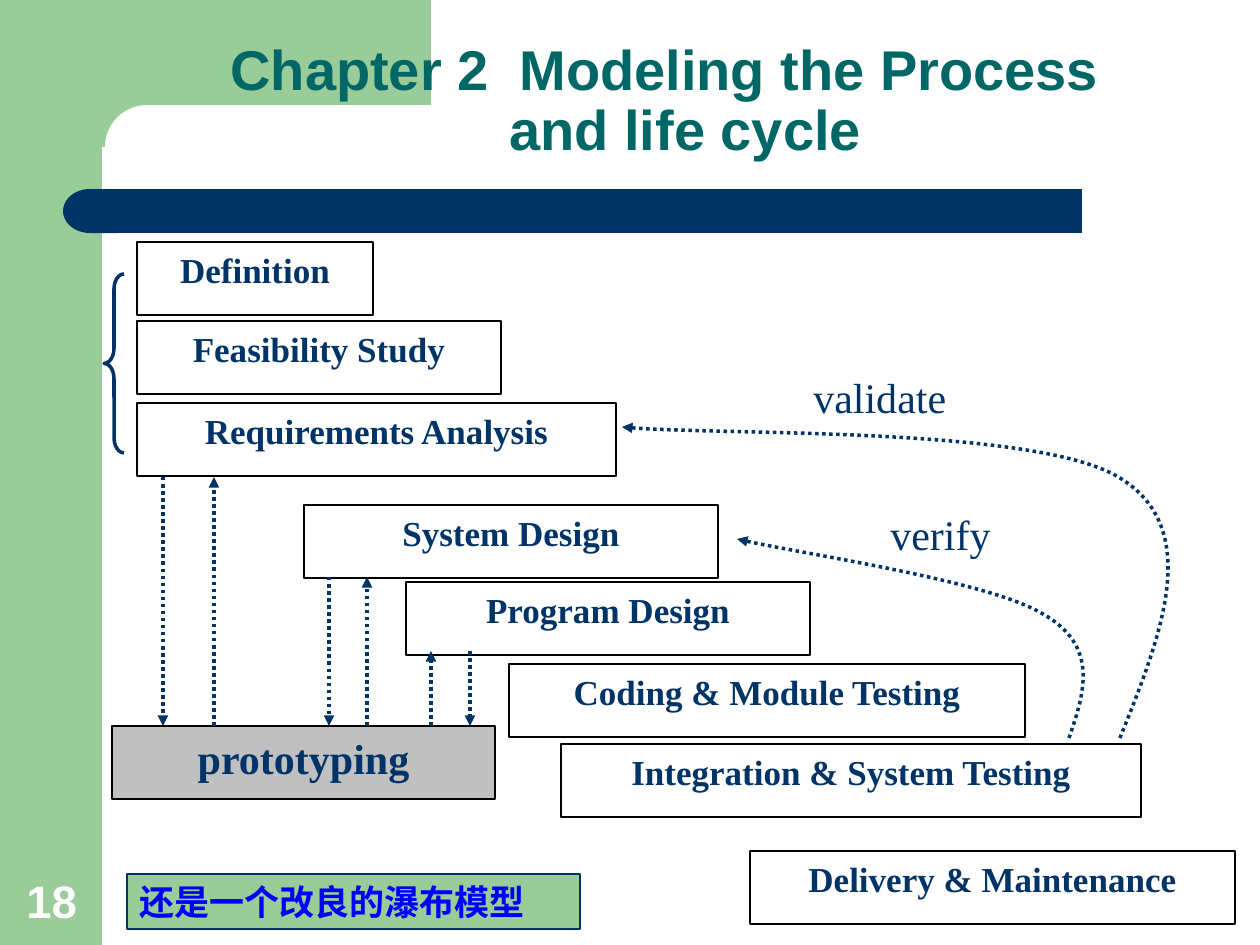
from typing import NamedTuple

from lxml import etree
from pptx import Presentation, util as u
from pptx.dml.color import RGBColor
from pptx.enum import dml, shapes, text
from pptx.oxml.ns import qn

SCALE = u.Inches(1) / 126
NAVY = RGBColor(0x00, 0x33, 0x66)
GREEN = RGBColor(0x99, 0xCC, 0x99)
TEAL = RGBColor(0x00, 0x66, 0x66)
GRAY = RGBColor(0xC0, 0xC0, 0xC0)
BLUE = RGBColor(0x00, 0x00, 0xFF)
WHITE = RGBColor(0xFF, 0xFF, 0xFF)
BLACK = RGBColor(0x00, 0x00, 0x00)
SERIF = "Times New Roman"
SANS = "Arial"
PROTOTYPING_TOP = 726
STAGE_HEIGHT = 73


class Box(NamedTuple):
    left: int
    top: int
    width: int
    height: int


class Style(NamedTuple):
    size: int
    color: RGBColor = NAVY
    font: str = SERIF
    bold: bool = True


class Stage(NamedTuple):
    label: str
    left: int
    top: int
    width: int
    fill: RGBColor = WHITE
    size: int = 20


class Arrow(NamedTuple):
    x: int
    start: int
    end: int


class Feedback(NamedTuple):
    label: str
    label_box: Box
    points: tuple


STAGES = [
    Stage("Definition", 137, 242, 236),
    Stage("Feasibility Study", 137, 321, 364),
    Stage("Requirements Analysis", 137, 403, 479),
    Stage("System Design", 304, 505, 414),
    Stage("Program Design", 406, 582, 404),
    Stage("Coding & Module Testing", 509, 664, 516),
    Stage("Integration & System Testing", 561, 744, 580),
    Stage("Delivery & Maintenance", 750, 851, 485),
    Stage("prototyping", 112, PROTOTYPING_TOP, 383, GRAY, 24),
]
ARROWS = [
    Arrow(163, 477, PROTOTYPING_TOP),
    Arrow(214, PROTOTYPING_TOP, 477),
    Arrow(329, 577, PROTOTYPING_TOP),
    Arrow(367, PROTOTYPING_TOP, 577),
    Arrow(431, PROTOTYPING_TOP, 651),
    Arrow(470, 651, PROTOTYPING_TOP),
]
FEEDBACKS = [
    Feedback("verify", Box(878, 502, 179, 63),
             ((1069, 738), (1085, 692), (1099, 646), (1043, 614),
              (989, 581), (789, 552), (737, 539))),
    Feedback("validate", Box(801, 365, 229, 63),
             ((1120, 738), (1162, 634), (1203, 529), (1120, 478),
              (1037, 426), (706, 436), (622, 427))),
]


def emu(px: int) -> int:
    return round(px * SCALE)


def add_text(paragraph, words: str, style: Style) -> None:
    run = paragraph.add_run()
    run.text = words
    run.font.size = u.Pt(style.size)
    run.font.name = style.font
    run.font.bold = style.bold
    run.font.color.rgb = style.color


def add_preset(slide, kind, box: Box, fill=None, line=None, weight=0.75):
    shape = slide.shapes.add_shape(kind, *map(emu, box))
    shape.shadow.inherit = False
    if fill is None:
        shape.fill.background()
    else:
        shape.fill.solid()
        shape.fill.fore_color.rgb = fill
    if line is None:
        shape.line.fill.background()
    else:
        shape.line.color.rgb = line
        shape.line.width = u.Pt(weight)
    return shape


def add_label(shape, words: str, style: Style, align, anchor=text.MSO_ANCHOR.TOP) -> None:
    frame = shape.text_frame
    frame.word_wrap = True
    frame.vertical_anchor = anchor
    paragraph = frame.paragraphs[0]
    paragraph.alignment = align
    add_text(paragraph, words, style)


def add_text_box(slide, box: Box, words: str, style: Style, anchor=text.MSO_ANCHOR.TOP) -> None:
    shape = slide.shapes.add_textbox(*map(emu, box))
    add_label(shape, words, style, text.PP_ALIGN.LEFT, anchor)


def style_dotted_arrow(shape) -> None:
    shape.line.color.rgb = NAVY
    shape.line.width = u.Pt(2)
    shape.line.dash_style = dml.MSO_LINE.ROUND_DOT
    etree.SubElement(shape.line._get_or_add_ln(), qn("a:tailEnd"), type="triangle")


def add_arrow(slide, arrow: Arrow) -> None:
    connector = slide.shapes.add_connector(
        shapes.MSO_CONNECTOR.STRAIGHT,
        emu(arrow.x), emu(arrow.start), emu(arrow.x), emu(arrow.end))
    style_dotted_arrow(connector)
    etree.SubElement(connector._element.spPr, qn("a:effectLst"))


def add_curve(slide, points: tuple) -> None:
    builder = slide.shapes.build_freeform(*points[0], scale=SCALE)
    builder.add_line_segments(points[1:], close=False)
    curve = builder.convert_to_shape()
    curve.shadow.inherit = False
    curve.fill.background()
    style_dotted_arrow(curve)
    outline = next(curve._element.iter(qn("a:path")))
    segments = outline.findall(qn("a:lnTo"))
    for first in range(0, len(segments), 3):
        bezier = etree.SubElement(outline, qn("a:cubicBezTo"))
        for segment in segments[first:first + 3]:
            bezier.append(segment[0])
            outline.remove(segment)


def add_background(slide) -> None:
    preset = shapes.MSO_SHAPE
    add_preset(slide, preset.RECTANGLE, Box(0, 0, 102, 945), GREEN)
    add_preset(slide, preset.RECTANGLE, Box(92, 0, 339, 147), GREEN)
    panel = add_preset(slide, preset.ROUNDED_RECTANGLE, Box(105, 105, 703, 84), WHITE)
    panel.adjustments[0] = 0.5
    add_preset(slide, preset.RECTANGLE, Box(116, 189, 966, 44), NAVY)
    cap = add_preset(slide, preset.FLOWCHART_DELAY, Box(63, 189, 54, 44), NAVY)
    cap.rotation = 180


def add_title(slide) -> None:
    frame = slide.shapes.add_textbox(*map(emu, Box(126, 53, 1102, 116))).text_frame
    frame.word_wrap = True
    frame.vertical_anchor = text.MSO_ANCHOR.BOTTOM
    lines = [("Chapter 2  Modeling the Process", 92), ("and life cycle", 371)]
    for index, (words, indent) in enumerate(lines):
        paragraph = frame.add_paragraph() if index else frame.paragraphs[0]
        paragraph.line_spacing = 0.9
        paragraph._p.get_or_add_pPr().set("marL", str(emu(indent)))
        add_text(paragraph, words, Style(32, TEAL, SANS))


def main() -> None:
    presentation = Presentation()
    presentation.slide_width = u.Inches(10)
    presentation.slide_height = u.Inches(7.5)
    slide = presentation.slides.add_slide(presentation.slide_layouts[6])
    add_background(slide)
    add_text_box(slide, Box(14, 867, 81, 67), "18", Style(26, WHITE, SANS),
                 text.MSO_ANCHOR.BOTTOM)
    add_title(slide)
    for stage in STAGES:
        box = Box(stage.left, stage.top, stage.width, STAGE_HEIGHT)
        shape = add_preset(slide, shapes.MSO_SHAPE.RECTANGLE, box, stage.fill, BLACK)
        add_label(shape, stage.label, Style(stage.size), text.PP_ALIGN.CENTER)
    for arrow in ARROWS:
        add_arrow(slide, arrow)
    for feedback in FEEDBACKS:
        add_curve(slide, feedback.points)
        add_text_box(slide, feedback.label_box, feedback.label, Style(24, bold=False))
    brace = add_preset(slide, shapes.MSO_SHAPE.LEFT_BRACE, Box(104, 274, 20, 179),
                       line=NAVY, weight=2)
    brace.adjustments[0] = 0.75
    note = add_preset(slide, shapes.MSO_SHAPE.RECTANGLE, Box(127, 874, 453, 55),
                      GREEN, NAVY, 1.25)
    add_label(note, "还是一个改良的瀑布模型", Style(20, BLUE, SANS), text.PP_ALIGN.LEFT)
    presentation.save("out.pptx")


if __name__ == "__main__":
    main()
